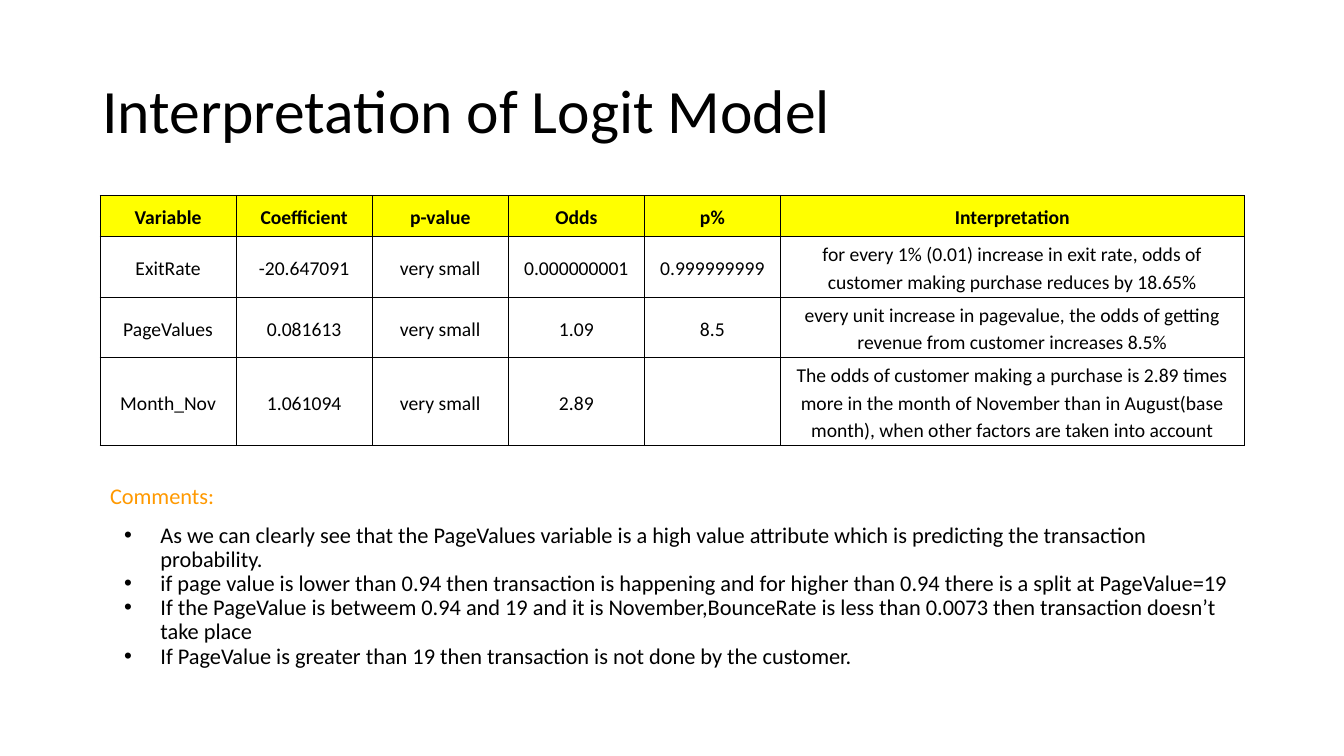
from lxml.etree import SubElement as Sub
from pptx import Presentation
from pptx.dml.color import RGBColor as RGB
from pptx.enum.text import MSO_ANCHOR as Anchor, PP_ALIGN as Align
from pptx.oxml.ns import qn
from pptx.util import Pt

BLACK = "000000"


def paint(item, hue):
    item.solid()
    item.fore_color.rgb = RGB.from_string(hue)


def write(para, text, size, hue=BLACK, bold=False):
    run = para.add_run()
    run.text = text
    run.font.name = "Calibri"
    run.font.size = Pt(size)
    run.font.bold = bold
    paint(run.font.fill, hue)


deck = Presentation()
deck.slide_width, deck.slide_height = Pt(960), Pt(540)
slide = deck.slides.add_slide(deck.slide_layouts[6])
paint(slide.background.fill, "FFFFFF")

title = slide.shapes.add_textbox(Pt(66), Pt(28.8), Pt(828), Pt(104.4)).text_frame
title.word_wrap = True
title.vertical_anchor = Anchor.MIDDLE
title.paragraphs[0].line_spacing = 0.9
write(title.paragraphs[0], "Interpretation of Logit Model", 44)

rows = [
    ["Variable", "Coefficient", "p-value", "Odds", "p%", "Interpretation"],
    ["ExitRate", "-20.647091", "very small", "0.000000001", "0.999999999",
     "for every 1% (0.01) increase in exit rate, odds of customer making "
     "purchase reduces by 18.65%"],
    ["PageValues", "0.081613", "very small", "1.09", "8.5",
     "every unit increase in pagevalue, the odds of getting revenue from "
     "customer increases 8.5%"],
    ["Month_Nov", "1.061094", "very small", "2.89", "",
     "The odds of customer making a purchase is 2.89 times more in the month "
     "of November than in August(base month), when other factors are taken "
     "into account"],
]
wide = [97.2] * 5 + [331.2]
high = [29.5, 43.2, 43.2, 62.6]
table = slide.shapes.add_table(
    len(rows), len(wide), Pt(71.5), Pt(139.7), Pt(sum(wide)), Pt(sum(high))).table
table.first_row = table.horz_banding = False
for col, width in zip(table.columns, wide):
    col.width = Pt(width)
for row, height, texts in zip(table.rows, high, rows):
    row.height = Pt(height)
    head = texts is rows[0]
    for cell, text in zip(row.cells, texts):
        cell.margin_left = cell.margin_right = Pt(2.2)
        cell.margin_top = cell.margin_bottom = Pt(1.5)
        cell.vertical_anchor = Anchor.MIDDLE
        props = cell._tc.get_or_add_tcPr()
        for side in "LRTB":
            edge = Sub(props, qn(f"a:ln{side}"), w=str(Pt(0.75)))
            Sub(Sub(edge, qn("a:solidFill")), qn("a:srgbClr"), val=BLACK)
        if head:
            paint(cell.fill, "FFFF00")
        else:
            cell.fill.background()
        if text:
            para = cell.text_frame.paragraphs[0]
            para.alignment = Align.CENTER
            para.line_spacing = 1.15
            write(para, text, 14, bold=head)

notes = [
    "As we can clearly see that the PageValues variable is a high value "
    "attribute which is predicting the transaction probability.",
    "if page value is lower than 0.94 then transaction is happening and for "
    "higher than 0.94 there is a split at PageValue=19",
    "If the PageValue is betweem 0.94 and 19 and it is November,BounceRate is "
    "less than 0.0073 then transaction doesn’t take place",
    "If PageValue is greater than 19 then transaction is not done by the customer.",
]
body = slide.shapes.add_textbox(Pt(71.5), Pt(343.4), Pt(817.2), Pt(148.3)).text_frame
body.word_wrap = True
lead = body.paragraphs[0]
lead.line_spacing = 0.9
lead.space_before = Pt(10)
write(lead, "Comments:", 16, "FF9900")
for rank, note in enumerate(notes):
    para = body.add_paragraph()
    para.line_spacing = 0.9
    para.space_before = Pt(0 if rank else 10)
    props = para._p.get_or_add_pPr()
    props.set("marL", str(Pt(36)))
    props.set("indent", str(Pt(-26)))
    Sub(Sub(props, qn("a:buClr")), qn("a:srgbClr"), val=BLACK)
    Sub(props, qn("a:buFont"), typeface="Arial")
    Sub(props, qn("a:buChar"), char="•")
    write(para, note, 16)

deck.save("out.pptx")
